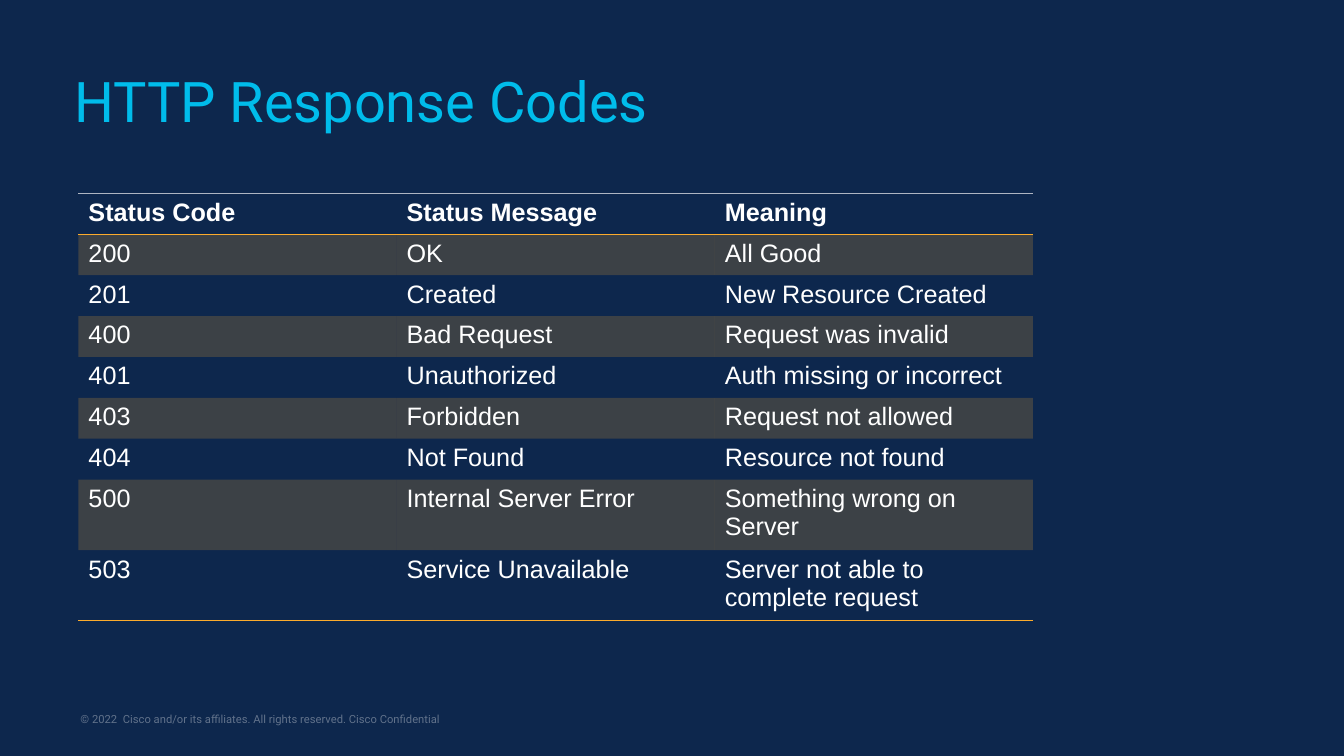
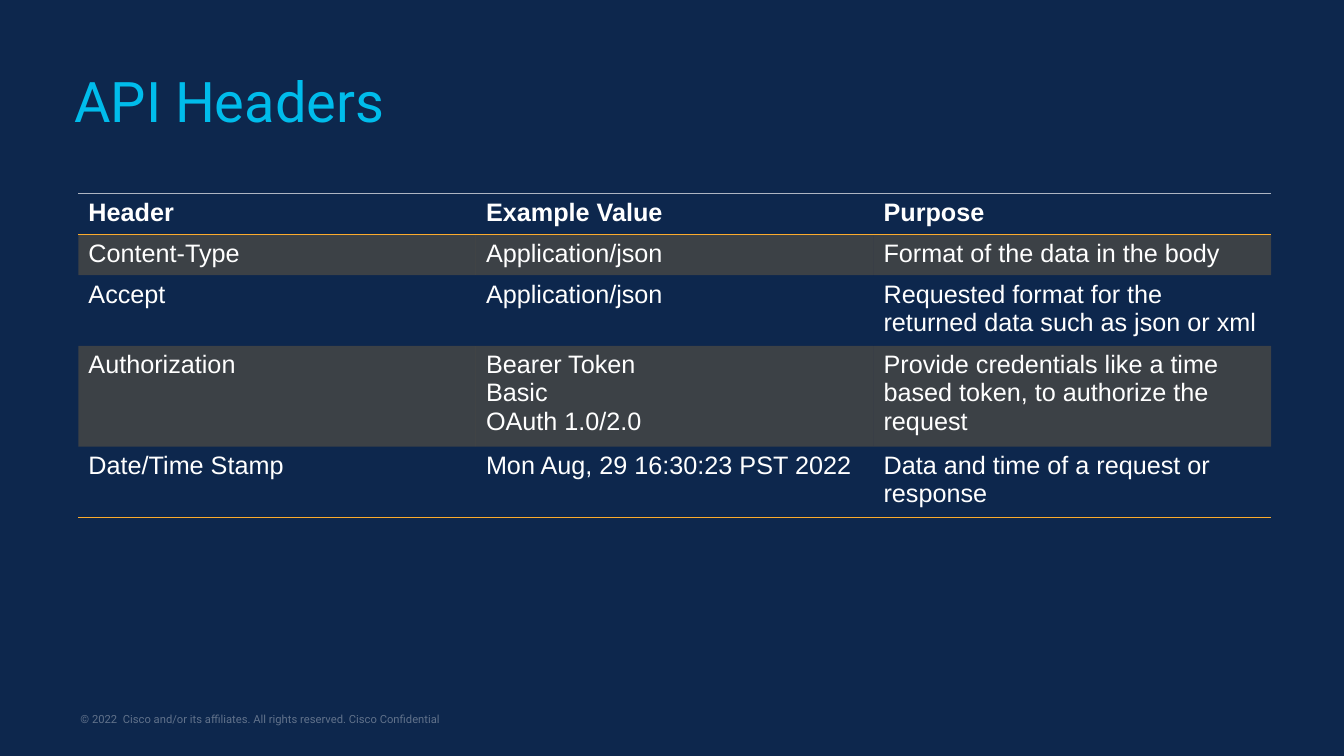
from dataclasses import dataclass

from lxml.etree import SubElement
from pptx import Presentation
from pptx.dml.color import RGBColor
from pptx.enum.text import MSO_ANCHOR
from pptx.oxml.ns import qn
from pptx.util import Pt

FOOTER = "© 2022  Cisco and/or its affiliates. All rights reserved. Cisco Confidential"

SLIDES = [
    {
        "title": "HTTP Response Codes",
        "column_width": 227.3,
        "header": ("Status Code", "Status Message", "Meaning"),
        "rows": [
            (1, "200", "OK", "All Good"),
            (1, "201", "Created", "New Resource Created"),
            (1, "400", "Bad Request", "Request was invalid"),
            (1, "401", "Unauthorized", "Auth missing or incorrect"),
            (1, "403", "Forbidden", "Request not allowed"),
            (1, "404", "Not Found", "Resource not found"),
            (2, "500", "Internal Server Error", "Something wrong on Server"),
            (2, "503", "Service Unavailable", "Server not able to complete request"),
        ],
    },
    {
        "title": "API Headers",
        "column_width": 284,
        "header": ("Header", "Example Value", "Purpose"),
        "rows": [
            (1, "Content-Type", "Application/json", "Format of the data in the body"),
            (2, "Accept", "Application/json",
             "Requested format for the returned data such as json or xml"),
            (3, "Authorization", "Bearer Token\nBasic\nOAuth 1.0/2.0",
             "Provide credentials like a time based token, to authorize the request"),
            (2, "Date/Time Stamp", "Mon Aug, 29 16:30:23 PST 2022",
             "Data and time of a request or response"),
        ],
    },
]


@dataclass(frozen=True)
class Theme:
    background: str = "0D274D"
    title: str = "00BCEB"
    text: str = "FFFFFF"
    accent: str = "FBAB2C"
    top_rule: str = "AEB5C2"
    heading_font: str = "Roboto"
    body_font: str = "Arial"
    title_size: int = 40
    body_size: int = 18
    footer_size: int = 8
    band_opacity: int = 20
    footer_opacity: int = 34


THEME = Theme()
TITLE_BOX = (46, 36, 862, 77)
FOOTER_BOX = (51, 504.5, 357, 16.5)
TABLE_LEFT, TABLE_TOP = 56, 138.2
ROW_HEIGHT, EXTRA_LINE = 29.2, 21.2
NO_GRID_STYLE = "{2D5ABB26-0587-4C30-8999-92F81FD0307C}"


def style(paragraph, font_name, size, color, bold=False):
    font = paragraph.font
    font.name, font.size, font.bold = font_name, Pt(size), bold
    font.color.rgb = RGBColor.from_string(color)


def set_opacity(fill_parent, percent):
    color = fill_parent.find(f"{qn('a:solidFill')}/{qn('a:srgbClr')}")
    SubElement(color, qn("a:alpha"), val=str(percent * 1000))


def add_text(slide, text, box, anchor, size, color):
    frame = slide.shapes.add_textbox(*map(Pt, box)).text_frame
    frame.word_wrap = True
    frame.vertical_anchor = anchor
    frame.text = text
    paragraph = frame.paragraphs[0]
    style(paragraph, THEME.heading_font, size, color)
    return frame, paragraph


def add_title(slide, text):
    _, paragraph = add_text(slide, text, TITLE_BOX, MSO_ANCHOR.MIDDLE,
                            THEME.title_size, THEME.title)
    paragraph.line_spacing = 0.9


def add_footer(slide):
    frame, paragraph = add_text(slide, FOOTER, FOOTER_BOX, MSO_ANCHOR.BOTTOM,
                                THEME.footer_size, THEME.text)
    frame.margin_left = frame.margin_right = Pt(6.5)
    frame.margin_top = frame.margin_bottom = Pt(2.9)
    set_opacity(paragraph._p.pPr.find(qn("a:defRPr")), THEME.footer_opacity)


def add_border(cell, edge, color):
    properties = cell._tc.get_or_add_tcPr()
    line = SubElement(properties, qn(f"a:{edge}"), w=str(Pt(1)))
    fill = SubElement(line, qn("a:solidFill"))
    SubElement(fill, qn("a:srgbClr"), val=color)


def fill_cell(cell, banded):
    if not banded:
        cell.fill.background()
        return
    cell.fill.solid()
    cell.fill.fore_color.rgb = RGBColor.from_string(THEME.accent)
    set_opacity(cell._tc.tcPr, THEME.band_opacity)


def add_status_table(slide, header, rows, column_width):
    lines = [(1, *header), *rows]
    heights = [ROW_HEIGHT + EXTRA_LINE * (count - 1) for count, *_ in lines]
    box = (TABLE_LEFT, TABLE_TOP, column_width * len(header), sum(heights))
    table = slide.shapes.add_table(len(lines), len(header), *map(Pt, box)).table
    table._tbl.tblPr.find(qn("a:tableStyleId")).text = NO_GRID_STYLE
    table.horz_banding = False
    for column in table.columns:
        column.width = Pt(column_width)
    for row_index, (_, *texts) in enumerate(lines):
        table.rows[row_index].height = Pt(heights[row_index])
        is_header = row_index == 0
        for column_index, text in enumerate(texts):
            cell = table.cell(row_index, column_index)
            cell.text = text
            for paragraph in cell.text_frame.paragraphs:
                style(paragraph, THEME.body_font, THEME.body_size, THEME.text, is_header)
            if is_header:
                add_border(cell, "lnT", THEME.top_rule)
            if row_index in (0, len(lines) - 1):
                add_border(cell, "lnB", THEME.accent)
            fill_cell(cell, row_index % 2 == 1)


def main():
    presentation = Presentation()
    presentation.slide_width, presentation.slide_height = Pt(960), Pt(540)
    background = presentation.slide_master.background.fill
    background.solid()
    background.fore_color.rgb = RGBColor.from_string(THEME.background)
    for content in SLIDES:
        slide = presentation.slides.add_slide(presentation.slide_layouts[6])
        add_footer(slide)
        add_status_table(slide, content["header"], content["rows"], content["column_width"])
        add_title(slide, content["title"])
    presentation.save("out.pptx")


if __name__ == "__main__":
    main()
